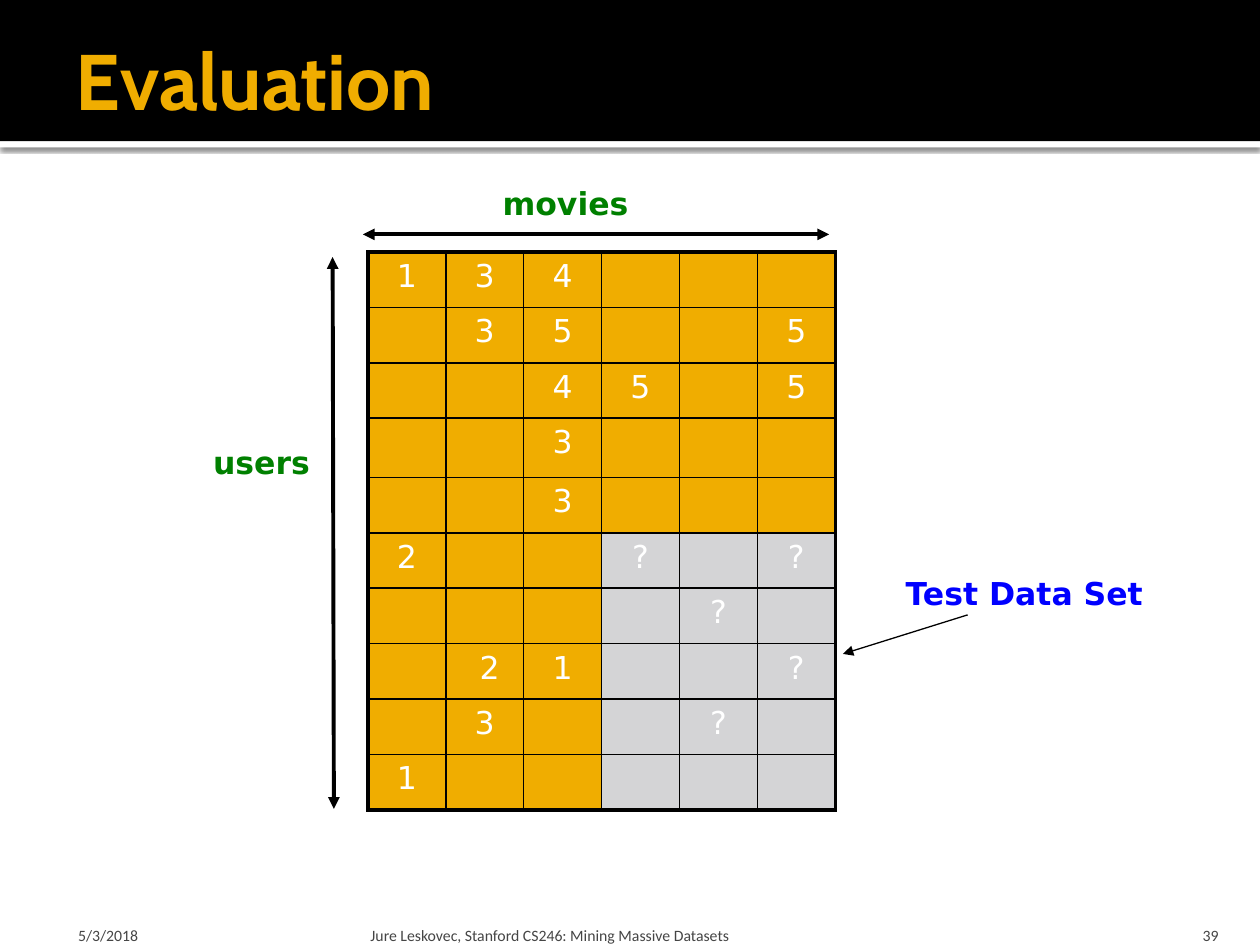
from dataclasses import dataclass

import pptx
import pptx.dml.color
import pptx.enum.shapes
import pptx.enum.text
import pptx.oxml
import pptx.oxml.ns
import pptx.util
from lxml import etree
from pptx.util import Inches

Align = pptx.enum.text.PP_ALIGN
Anchor = pptx.enum.text.MSO_ANCHOR
Fit = pptx.enum.text.MSO_AUTO_SIZE
qn = pptx.oxml.ns.qn

COLORS = {
    "black": "000000", "white": "FFFFFF", "gold": "F0AD00", "grey": "D4D4D6",
    "green": "008000", "blue": "0000FF", "foot": "454545",
}
SANS = "DejaVu Sans"
GRID = [
    ["1", "3", "4", "", "", ""],
    ["", "3", "5", "", "", "5"],
    ["", "", "4", "5", "", "5"],
    ["", "", "3", "", "", ""],
    ["", "", "3", "", "", ""],
    ["2", "", "", "?", "", "?"],
    ["", "", "", "", "?", ""],
    ["", " 2", "1", "", "", "?"],
    ["", "3", "", "", "?", ""],
    ["1", "", "", "", "", ""],
]
TEST_ROW, TEST_COL = 5, 3
THIN, THICK = 1, 2.25


@dataclass
class Label:
    text: str
    box: tuple
    color: str
    wrap: bool = False
    align: Align = Align.LEFT


@dataclass
class Footer:
    text: str
    left: float
    width: float
    pads: tuple
    align: Align = Align.LEFT


@dataclass
class Arrow:
    start: tuple
    end: tuple
    width: float
    both: bool = True


LABELS = [
    Label("Test Data Set", (7.09, 4.51, 2.1, 0.4), "blue"),
    Label("users", (1.1, 3.47, 1.95, 0.4), "green", True, Align.CENTER),
    Label("movies", (3.89, 1.41, 1.21, 0.4), "green"),
]
ARROWS = [
    Arrow((2.64, 2.04), (2.65, 6.42), THICK),
    Arrow((2.88, 1.86), (6.58, 1.86), THICK),
    Arrow((7.68, 4.88), (6.69, 5.19), 0.75, False),
]
FOOTERS = [
    Footer("5/3/2018", 0.5, 2.33, (0.12, 0.05)),
    Footer("Jure Leskovec, Stanford CS246: Mining Massive Datasets",
           2.89, 6.02, (0.05, 0.05)),
    Footer("39", 8.97, 0.8, (0.1, 0.1), Align.RIGHT),
]


def rgb(name: str):
    return pptx.dml.color.RGBColor.from_string(COLORS[name])


def add_run(para, text: str, size: float, font: str, color: str,
            bold: bool = False) -> None:
    run = para.add_run()
    run.text = text
    run.font.size = pptx.util.Pt(size)
    run.font.name = font
    run.font.bold = bold
    run.font.color.rgb = rgb(color)


def set_pads(frame, left: float, top: float, right: float, base: float) -> None:
    frame.margin_left, frame.margin_top = Inches(left), Inches(top)
    frame.margin_right, frame.margin_bottom = Inches(right), Inches(base)


def add_bar(slide, top: float, height: float, color: str):
    bar = slide.shapes.add_shape(
        pptx.enum.shapes.MSO_SHAPE.RECTANGLE,
        0, Inches(top), Inches(10), Inches(height))
    bar.shadow.inherit = False
    bar.fill.solid()
    bar.fill.fore_color.rgb = rgb(color)
    bar.line.fill.background()
    return bar


def add_shade(shape) -> None:
    """Cast a soft shadow straight down."""
    effects = shape.element.spPr.find(qn("a:effectLst"))
    shade = etree.SubElement(effects, qn("a:outerShdw"), blurRad="31750",
                             dist="10160", dir="5400000", rotWithShape="0")
    tint = etree.SubElement(shade, qn("a:srgbClr"), val=COLORS["black"])
    etree.SubElement(tint, qn("a:alpha"), val="60000")


def set_title(slide) -> None:
    title = slide.shapes.title
    title.left, title.top = Inches(0.5), Inches(0.17)
    title.width, title.height = Inches(9), Inches(0.92)
    frame = title.text_frame
    frame.vertical_anchor = Anchor.MIDDLE
    set_pads(frame, 0.1, 0.05, 0.05, 0.05)
    para = frame.paragraphs[0]
    para.alignment = Align.LEFT
    add_run(para, "Evaluation", 45, "Cabin", "gold", True)
    # Bring the title in front of the bars.
    title.element.getparent().append(title.element)


def set_edges(cell, row: int, col: int) -> None:
    """Rule all four sides, thick on the outside of the grid."""
    outer = {"lnL": col == 0, "lnR": col == len(GRID[0]) - 1,
             "lnT": row == 0, "lnB": row == len(GRID) - 1}
    props = cell._tc.get_or_add_tcPr()
    for spot, (tag, edge) in enumerate(outer.items()):
        width = pptx.util.Pt(THICK if edge else THIN)
        line = etree.Element(qn(f"a:{tag}"), w=str(int(width)))
        fill = etree.SubElement(line, qn("a:solidFill"))
        etree.SubElement(fill, qn("a:srgbClr"), val=COLORS["black"])
        props.insert(spot, line)


def add_grid(slide) -> None:
    table = slide.shapes.add_table(
        len(GRID), len(GRID[0]), Inches(2.92), Inches(2),
        Inches(3.71), Inches(4.4)).table
    table.first_row = table.horz_banding = False
    for row, line in enumerate(GRID):
        table.rows[row].height = Inches(0.47 if row == 3 else 0.44)
        for col, text in enumerate(line):
            cell = table.cell(row, col)
            test = row >= TEST_ROW and col >= TEST_COL
            cell.fill.solid()
            cell.fill.fore_color.rgb = rgb("grey" if test else "gold")
            set_edges(cell, row, col)
            if text:
                para = cell.text_frame.paragraphs[0]
                para.alignment = Align.CENTER
                space = etree.SubElement(para._p.get_or_add_pPr(), qn("a:spcBef"))
                etree.SubElement(space, qn("a:spcPct"), val="20000")
                add_run(para, text, 18, SANS, "white")


def add_label(slide, label: Label) -> None:
    frame = slide.shapes.add_textbox(*map(Inches, label.box)).text_frame
    frame.word_wrap = label.wrap
    frame.auto_size = Fit.SHAPE_TO_FIT_TEXT
    para = frame.paragraphs[0]
    para.alignment = label.align
    add_run(para, label.text, 18, SANS, label.color, True)


def add_arrow(slide, arrow: Arrow) -> None:
    link = slide.shapes.add_connector(
        pptx.enum.shapes.MSO_CONNECTOR.STRAIGHT,
        *map(Inches, arrow.start + arrow.end))
    link.line.color.rgb = rgb("black")
    link.line.width = pptx.util.Pt(arrow.width)
    props = link.element.spPr
    line = props.find(qn("a:ln"))
    for tag in ("headEnd", "tailEnd") if arrow.both else ("tailEnd",):
        etree.SubElement(line, qn(f"a:{tag}"), type="triangle")
    etree.SubElement(props, qn("a:effectLst"))


def add_footer(slide, foot: Footer) -> None:
    frame = slide.shapes.add_textbox(
        Inches(foot.left), Inches(7.2), Inches(foot.width), Inches(0.3)).text_frame
    frame.word_wrap = True
    frame.vertical_anchor = Anchor.BOTTOM
    left, right = foot.pads
    set_pads(frame, left, 0.05, right, 0)
    para = frame.paragraphs[0]
    para.alignment = foot.align
    add_run(para, foot.text, 9, "Calibri", "foot")


def main() -> None:
    deck = pptx.Presentation()
    deck.slide_width, deck.slide_height = Inches(10), Inches(7.5)
    slide = deck.slides.add_slide(deck.slide_layouts[5])
    add_shade(add_bar(slide, 1.12, 0.05, "white"))
    add_bar(slide, 0, 1.12, "black")
    set_title(slide)
    add_grid(slide)
    for label in LABELS:
        add_label(slide, label)
    for arrow in ARROWS:
        add_arrow(slide, arrow)
    for foot in FOOTERS:
        add_footer(slide, foot)
    deck.save("out.pptx")


if __name__ == "__main__":
    main()
